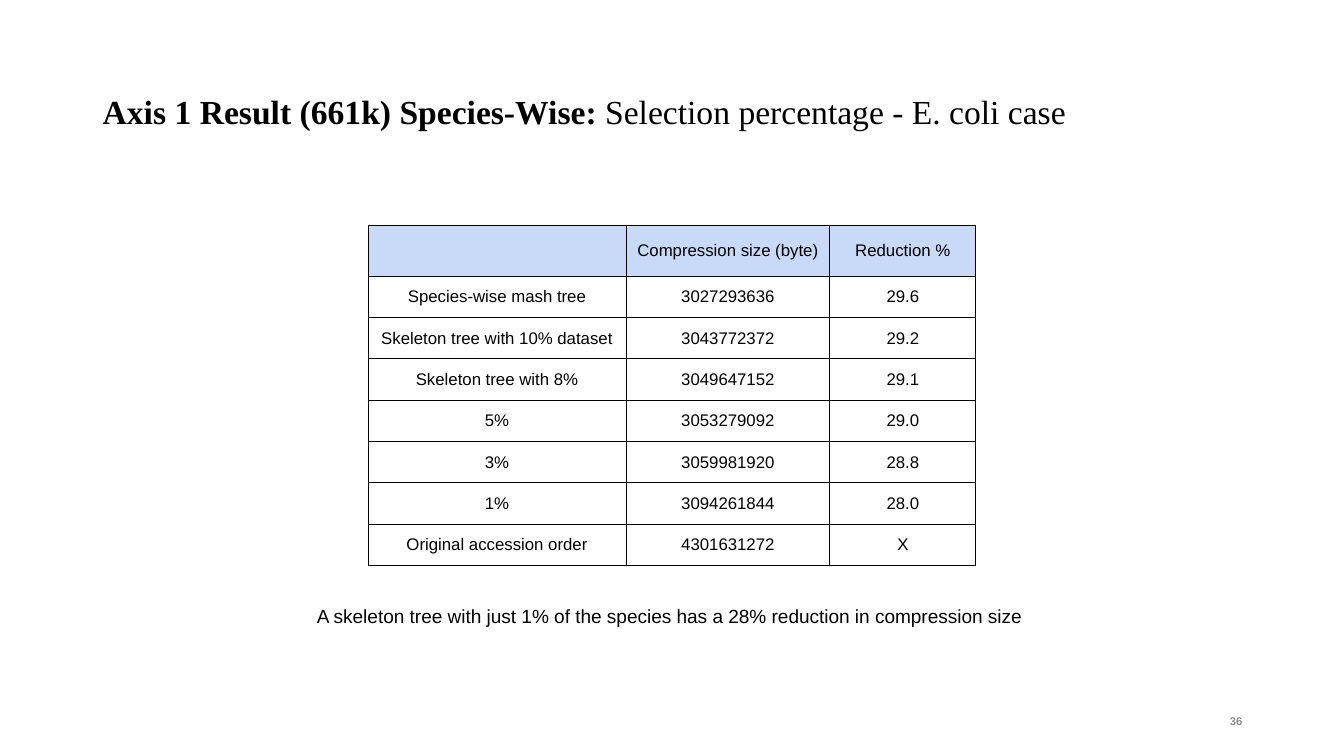
from dataclasses import dataclass

from lxml.etree import SubElement
from pptx import Presentation
from pptx.dml.color import RGBColor
from pptx.enum.text import MSO_ANCHOR as Anchor, PP_ALIGN as Align
from pptx.oxml.ns import qn
from pptx.util import Inches, Pt

TITLE = [("Axis 1 Result (661k) Species-Wise: ", True),
         ("Selection percentage - E. coli case", False)]
RESULTS = [
    ("", "Compression size (byte)", "Reduction %"),
    ("Species-wise mash tree", "3027293636", "29.6"),
    ("Skeleton tree with 10% dataset", "3043772372", "29.2"),
    ("Skeleton tree with 8%", "3049647152", "29.1"),
    ("5%", "3053279092", "29.0"),
    ("3%", "3059981920", "28.8"),
    ("1%", "3094261844", "28.0"),
    ("Original accession order", "4301631272", "X"),
]
TAKEAWAY = [("A skeleton tree with just 1% of the species has a 28% reduction"
             " in compression size ", False)]
PAGE_NUMBER = [("36", True)]

COLUMN_WIDTHS = (2.56, 2.02, 1.45)
HEADER_HEIGHT, ROW_HEIGHT = 0.49, 0.41


@dataclass(frozen=True)
class Theme:
    title_font: str = "Times New Roman"
    body_font: str = "Arial"
    ink: str = "000000"
    muted: str = "8C8C8C"
    header: str = "C9DAF8"
    title_size: float = 24
    takeaway_size: float = 13.6
    table_size: float = 12
    page_size: float = 8
    border: float = 0.75


THEME = Theme()


def style_run(run, size, font=THEME.body_font, color=THEME.ink, bold=False):
    run.font.size, run.font.name, run.font.bold = Pt(size), font, bold
    run.font.color.rgb = RGBColor.from_string(color)


def add_text(slide, box, parts, size, align=Align.LEFT, anchor=Anchor.MIDDLE,
             spacing=1.0, before=0, **style):
    """Add one paragraph made of (wording, bold) parts."""
    frame = slide.shapes.add_textbox(*map(Inches, box)).text_frame
    frame.word_wrap = True
    frame.vertical_anchor = anchor
    paragraph = frame.paragraphs[0]
    paragraph.alignment = align
    paragraph.line_spacing = spacing
    paragraph.space_before = Pt(before)
    for wording, bold in parts:
        run = paragraph.add_run()
        run.text = wording
        style_run(run, size, bold=bold, **style)


def add_borders(cell):
    """Draw all four borders; they must precede the fill in the cell XML."""
    properties = cell._tc.get_or_add_tcPr()
    for side in ("a:lnL", "a:lnR", "a:lnT", "a:lnB"):
        line = SubElement(properties, qn(side), w=str(Pt(THEME.border)))
        fill = SubElement(line, qn("a:solidFill"))
        SubElement(fill, qn("a:srgbClr"), val=THEME.ink)


def style_cell(cell, wording, is_header):
    add_borders(cell)
    if is_header:
        cell.fill.solid()
        cell.fill.fore_color.rgb = RGBColor.from_string(THEME.header)
    else:
        cell.fill.background()
    cell.vertical_anchor = Anchor.MIDDLE
    cell.margin_left = cell.margin_right = Inches(0.1)
    cell.margin_top = cell.margin_bottom = Inches(0.1)
    cell.text = wording
    paragraph = cell.text_frame.paragraphs[0]
    paragraph.alignment = Align.CENTER
    for run in paragraph.runs:
        style_run(run, THEME.table_size)


def add_results(slide, left, top):
    heights = [HEADER_HEIGHT] + [ROW_HEIGHT] * (len(RESULTS) - 1)
    table = slide.shapes.add_table(
        len(RESULTS), len(COLUMN_WIDTHS), Inches(left), Inches(top),
        Inches(sum(COLUMN_WIDTHS)), Inches(sum(heights))).table
    table.horz_banding = table.first_row = False
    for column, width in zip(table.columns, COLUMN_WIDTHS):
        column.width = Inches(width)
    for row, height, values in zip(table.rows, heights, RESULTS):
        row.height = Inches(height)
        for cell, wording in zip(row.cells, values):
            style_cell(cell, wording, values is RESULTS[0])


def main():
    deck = Presentation()
    deck.slide_width, deck.slide_height = Inches(13.33), Inches(7.5)
    slide = deck.slides.add_slide(deck.slide_layouts[6])
    add_text(slide, (0.92, 0.4, 11.5, 1.45), TITLE, THEME.title_size,
             spacing=0.9, font=THEME.title_font)
    add_text(slide, (9.42, 6.95, 3, 0.4), PAGE_NUMBER, THEME.page_size,
             align=Align.RIGHT, color=THEME.muted)
    add_results(slide, 3.65, 2.24)
    add_text(slide, (2.96, 5.99, 7.41, 0.43), TAKEAWAY, THEME.takeaway_size,
             align=Align.CENTER, anchor=Anchor.TOP, spacing=0.8, before=10)
    deck.save("out.pptx")


if __name__ == "__main__":
    main()
